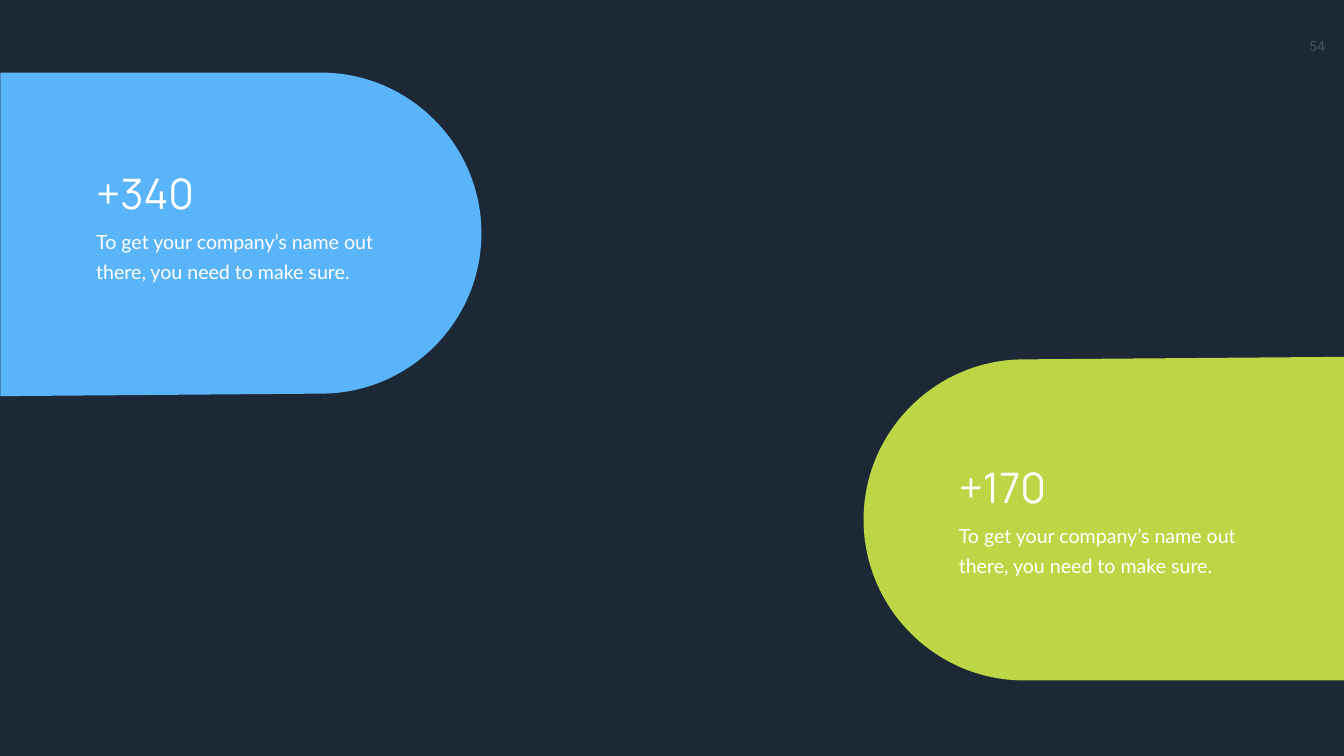
from lxml import etree
from pptx import Presentation
from pptx.dml.color import RGBColor
from pptx.enum.shapes import MSO_SHAPE
from pptx.enum.text import MSO_ANCHOR, PP_ALIGN
from pptx.oxml.ns import qn
from pptx.util import Inches, Pt

RECTANGLE = MSO_SHAPE.RECTANGLE
TOP = MSO_ANCHOR.TOP
LEFT, CENTER = PP_ALIGN.LEFT, PP_ALIGN.CENTER

WIDTH, HEIGHT = 26.66, 15
COLORS = {"night": "1C2835", "blue": "5AB4FA", "lime": "BDD645", "white": "FFFFFF"}
FORMATS = {
    "page": {"name": "Roboto", "size": Pt(20)},
    "figure": {"name": "Manrope", "size": Pt(60)},
    "caption": {"name": "Lato", "size": Pt(28)},
}
CAPTION = "To get your company’s name out there, you need to make sure."
TAB_CORNERS = [(0, 0), (6.36, 0), (9.54, 3.19), (6.36, 6.37), (0, 6.42)]
QUARTER_CIRCLE = 0.55  # handle length of a quarter circle, as a share of its radius


def bend(line, start, end, horizontal_first):
    """Turn a straight path segment into a quarter circle."""
    (start_x, start_y), (end_x, end_y) = start, end
    reach_x = QUARTER_CIRCLE * (end_x - start_x)
    reach_y = QUARTER_CIRCLE * (end_y - start_y)
    if horizontal_first:
        handles = [(start_x + reach_x, start_y), (end_x, end_y - reach_y)]
    else:
        handles = [(start_x, start_y + reach_y), (end_x - reach_x, end_y)]
    line.tag = qn("a:cubicBezTo")
    for index, (x, y) in enumerate(handles):
        point = etree.Element(qn("a:pt"), x=str(Inches(x)), y=str(Inches(y)))
        line.insert(index, point)


class SlideBuilder:
    def __init__(self, slide, colors, formats):
        self.slide = slide
        self.colors = colors
        self.formats = formats

    def color(self, name):
        return RGBColor.from_string(self.colors[name])

    def paint(self, shape, color):
        shape.shadow.inherit = False
        shape.fill.solid()
        shape.fill.fore_color.rgb = self.color(color)
        shape.line.fill.background()

    def background(self, color):
        fill = self.slide.background.fill
        fill.solid()
        fill.fore_color.rgb = self.color(color)

    def veil(self, color, opacity):
        """Cover the slide with a translucent rectangle."""
        shape = self.slide.shapes.add_shape(
            RECTANGLE, 0, 0, Inches(WIDTH), Inches(HEIGHT))
        self.paint(shape, color)
        color_element = next(shape.element.spPr.iter(qn("a:srgbClr")))
        etree.SubElement(color_element, qn("a:alpha"), val=str(opacity * 1000))

    def tab(self, left, top, color, rotation=0):
        """Draw a tab with one straight end and one half-round end."""
        points = [(Inches(x), Inches(y)) for x, y in TAB_CORNERS]
        builder = self.slide.shapes.build_freeform(*points[0])
        builder.add_line_segments(points[1:], close=True)
        shape = builder.convert_to_shape(Inches(left), Inches(top))
        lines = list(shape.element.spPr.iter(qn("a:lnTo")))
        for index, horizontal_first in ((1, True), (2, False)):
            bend(lines[index], TAB_CORNERS[index], TAB_CORNERS[index + 1],
                 horizontal_first)
        shape.rotation = rotation
        self.paint(shape, color)

    def text(self, box, text, style, alignment=LEFT, line_spacing=None, side_inset=0.1):
        shape = self.slide.shapes.add_textbox(*map(Inches, box))
        frame = shape.text_frame
        frame.word_wrap = True
        frame.vertical_anchor = TOP
        frame.margin_left = frame.margin_right = Inches(side_inset)
        paragraph = frame.paragraphs[0]
        paragraph.alignment = alignment
        paragraph.line_spacing = line_spacing
        run = paragraph.add_run()
        run.text = text
        for attribute, value in self.formats[style].items():
            setattr(run.font, attribute, value)
        run.font.color.rgb = self.color("white")

    def statistic(self, left, top, figure, caption):
        self.text((left, top + 1.11, 5.95, 1.25), caption, "caption",
                  line_spacing=Pt(43))
        self.text((left, top, 5.2, 1.11), figure, "figure")


def main():
    presentation = Presentation()
    presentation.slide_width = Inches(WIDTH)
    presentation.slide_height = Inches(HEIGHT)
    slide = presentation.slides.add_slide(presentation.slide_layouts[6])

    builder = SlideBuilder(slide, COLORS, FORMATS)
    builder.background("night")
    builder.text((25.62, 0.7, 1.01, 0.54), "54", "page", CENTER, side_inset=0.2)
    builder.veil("night", 80)

    builder.tab(0.01, 1.44, "blue")
    builder.statistic(1.81, 3.27, "+340", CAPTION)
    builder.tab(17.13, 7.08, "lime", rotation=180)
    builder.statistic(18.92, 9.11, "+170", CAPTION)

    presentation.save("out.pptx")


if __name__ == "__main__":
    main()
